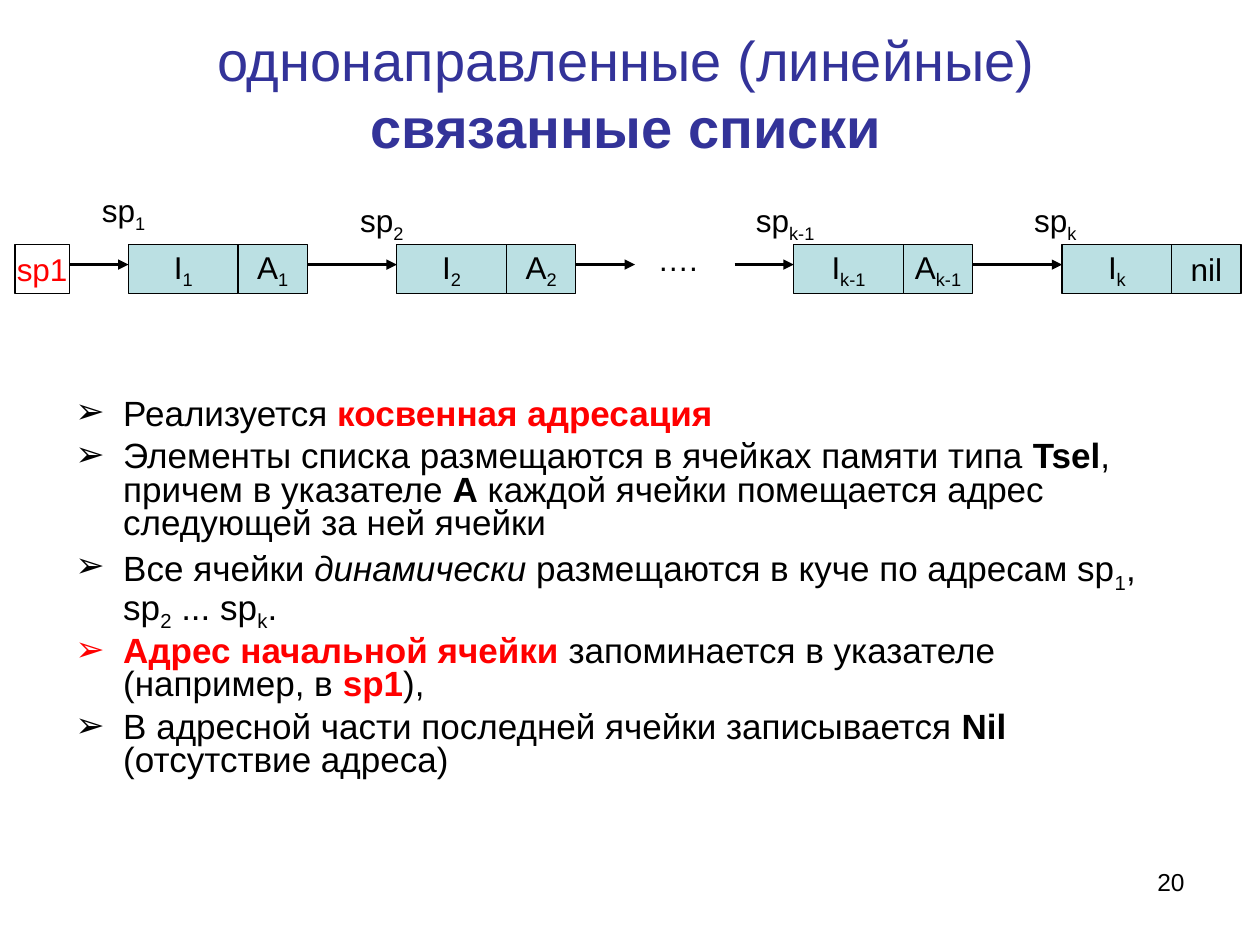
from dataclasses import dataclass

import lxml.etree
import pptx
import pptx.dml.color
import pptx.enum.shapes
import pptx.enum.text
import pptx.oxml.ns
import pptx.util

Inches = pptx.util.Inches
Pt = pptx.util.Pt
qn = pptx.oxml.ns.qn
Align = pptx.enum.text.PP_ALIGN
Anchor = pptx.enum.text.MSO_ANCHOR
AutoSize = pptx.enum.text.MSO_AUTO_SIZE

BLACK, RED, NAVY, CELL = "000000", "FF0000", "333399", "BBE0E3"
ROW_TOP, ROW_H = 1.94, 0.39
INFO_W, ADDR_W = 0.87, 0.55
ARROW_Y = 2.1


@dataclass
class Run:
    text: str
    color: str = BLACK
    bold: bool = False
    italic: bool = False
    sub: bool = False


@dataclass
class Node:
    left: float
    index: str
    address: list[Run]
    label_left: float
    label_top: float = 1.55
    label_width: float = 0.63

    @property
    def right(self) -> float:
        return self.left + INFO_W + ADDR_W


def rgb(color: str) -> pptx.dml.color.RGBColor:
    return pptx.dml.color.RGBColor.from_string(color)


def indexed(name: str, index: str) -> list[Run]:
    return [Run(name), Run(index, sub=True)]


def add_runs(p, runs: list[Run], size: float) -> None:
    for run in runs:
        r = p.add_run()
        r.text = run.text
        r.font.name = "Arial"
        r.font.size = Pt(size)
        r.font.bold = run.bold
        r.font.italic = run.italic
        r.font.color.rgb = rgb(run.color)
        if run.sub:
            r.font._element.set("baseline", "-25000")


def add_text(s, left: float, top: float, width: float, height: float,
             runs: list[Run], size: float = 18, before: float = 11.2,
             align=Align.LEFT) -> None:
    tf = s.shapes.add_textbox(Inches(left), Inches(top),
                              Inches(width), Inches(height)).text_frame
    tf.word_wrap = True
    p = tf.paragraphs[0]
    p.alignment = align
    p.space_before = Pt(before)
    add_runs(p, runs, size)


def add_cell(s, left: float, width: float, runs: list[Run], fill: str = "") -> None:
    sp = s.shapes.add_shape(pptx.enum.shapes.MSO_SHAPE.RECTANGLE, Inches(left),
                            Inches(ROW_TOP), Inches(width), Inches(ROW_H))
    sp.shadow.inherit = False
    if fill:
        sp.fill.solid()
        sp.fill.fore_color.rgb = rgb(fill)
    else:
        sp.fill.background()
    sp.line.color.rgb = rgb(BLACK)
    sp.line.width = Pt(0.75)
    tf = sp.text_frame
    tf.word_wrap = False
    tf.vertical_anchor = Anchor.MIDDLE
    tf.paragraphs[0].alignment = Align.CENTER
    add_runs(tf.paragraphs[0], runs, 18)


def add_arrow(s, start: float, end: float) -> None:
    line = s.shapes.add_connector(pptx.enum.shapes.MSO_CONNECTOR.STRAIGHT,
                                  Inches(start), Inches(ARROW_Y),
                                  Inches(end), Inches(ARROW_Y))
    line.line.color.rgb = rgb(BLACK)
    line.line.width = Pt(1.5)
    props = line._element.spPr
    lxml.etree.SubElement(props.find(qn("a:ln")), qn("a:tailEnd"), type="triangle")
    lxml.etree.SubElement(props, qn("a:effectLst"))


def add_node(s, node: Node) -> None:
    add_cell(s, node.left, INFO_W, indexed("I", node.index), CELL)
    add_cell(s, node.left + INFO_W, ADDR_W, node.address, CELL)
    add_text(s, node.label_left, node.label_top, node.label_width, 0.44,
             indexed("sp", node.index))


def set_bullet(p, color: str) -> None:
    props = p._p.get_or_add_pPr()
    props.set("marL", str(Inches(0.38)))
    props.set("indent", str(-Inches(0.38)))
    bullet_color = lxml.etree.SubElement(props, qn("a:buClr"))
    lxml.etree.SubElement(bullet_color, qn("a:srgbClr"), val=color)
    lxml.etree.SubElement(props, qn("a:buFont"), typeface="Arial")
    lxml.etree.SubElement(props, qn("a:buChar"), char="➢")


NODES = [
    Node(1.02, "1", indexed("A", "1"), 0.71, label_top=1.47),
    Node(3.15, "2", indexed("A", "2"), 2.76),
    Node(6.3, "k-1", indexed("A", "k-1"), 5.9, label_width=0.79),
    Node(8.43, "k", [Run("nil")], 8.11),
]

BULLETS = [
    [Run("Реализуется "), Run("косвенная адресация", RED, bold=True)],
    [Run("Элементы списка размещаются в ячейках памяти типа "),
     Run("Tsel", bold=True), Run(", причем в указателе "), Run("А", bold=True),
     Run(" каждой ячейки помещается адрес следующей за ней ячейки")],
    [Run("Все ячейки "), Run("динамически ", italic=True),
     Run("размещаются в куче по адресам sp"), Run("1", sub=True),
     *indexed(", sp", "2"), *indexed(" ... sp", "k"), Run(".")],
    [Run("Адрес начальной ячейки", RED, bold=True),
     Run(" запоминается в указателе (например, в "),
     Run("sp1", RED, bold=True), Run("),")],
    [Run("В адресной части последней ячейки записывается "),
     Run("Nil", bold=True), Run(" (отсутствие адреса)")],
]


def main() -> None:
    prs = pptx.Presentation()
    prs.slide_width, prs.slide_height = Inches(10), Inches(7.5)
    s = prs.slides.add_slide(prs.slide_layouts[5])

    # Title
    title = s.shapes.title
    title.left, title.top = Inches(0.43), Inches(0.28)
    title.width, title.height = Inches(9.08), Inches(0.91)
    tf = title.text_frame
    tf.auto_size = AutoSize.NONE
    tf.vertical_anchor = Anchor.MIDDLE
    tf.paragraphs[0].alignment = Align.CENTER
    add_runs(tf.paragraphs[0], [Run("однонаправленные (линейные) ", NAVY),
                                Run("связанные списки", NAVY, bold=True)], 32)

    # Bulleted explanation
    tf = s.shapes.add_textbox(Inches(0.5), Inches(3.12),
                              Inches(9), Inches(3.58)).text_frame
    tf.word_wrap = True
    for i, runs in enumerate(BULLETS):
        p = tf.add_paragraph() if i else tf.paragraphs[0]
        p.line_spacing = 0.8
        p.space_before = Pt(5)
        set_bullet(p, runs[0].color)
        add_runs(p, runs, 20)

    # Linked list: head pointer, nodes, links and the omitted middle
    first, second, before_last, last = NODES
    head_left, head_width, stub = 0.12, 0.43, 0.47
    add_cell(s, head_left, head_width, [Run("sp1", RED)])
    for node in NODES:
        add_node(s, node)
    for start, end in [(head_left + head_width, first.left),
                       (first.right, second.left),
                       (second.right, second.right + stub),
                       (before_last.left - stub, before_last.left),
                       (before_last.right, last.left)]:
        add_arrow(s, start, end)
    add_text(s, 5.12, 1.86, 0.71, 0.4, [Run("….")])

    # Page number
    add_text(s, 7.17, 6.83, 2.33, 0.52, [Run("20")], size=14, before=0,
             align=Align.RIGHT)

    prs.save("out.pptx")


if __name__ == "__main__":
    main()
